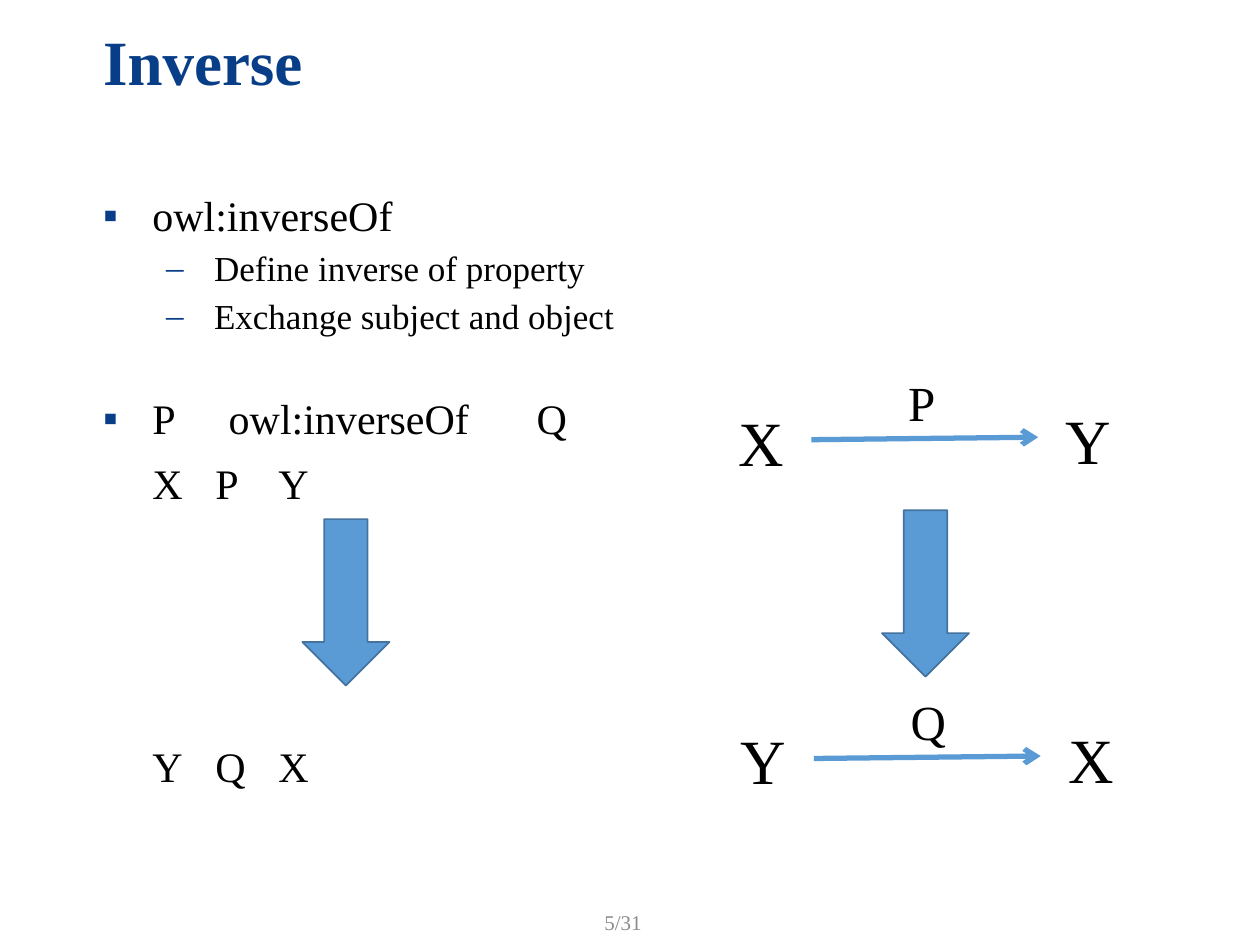
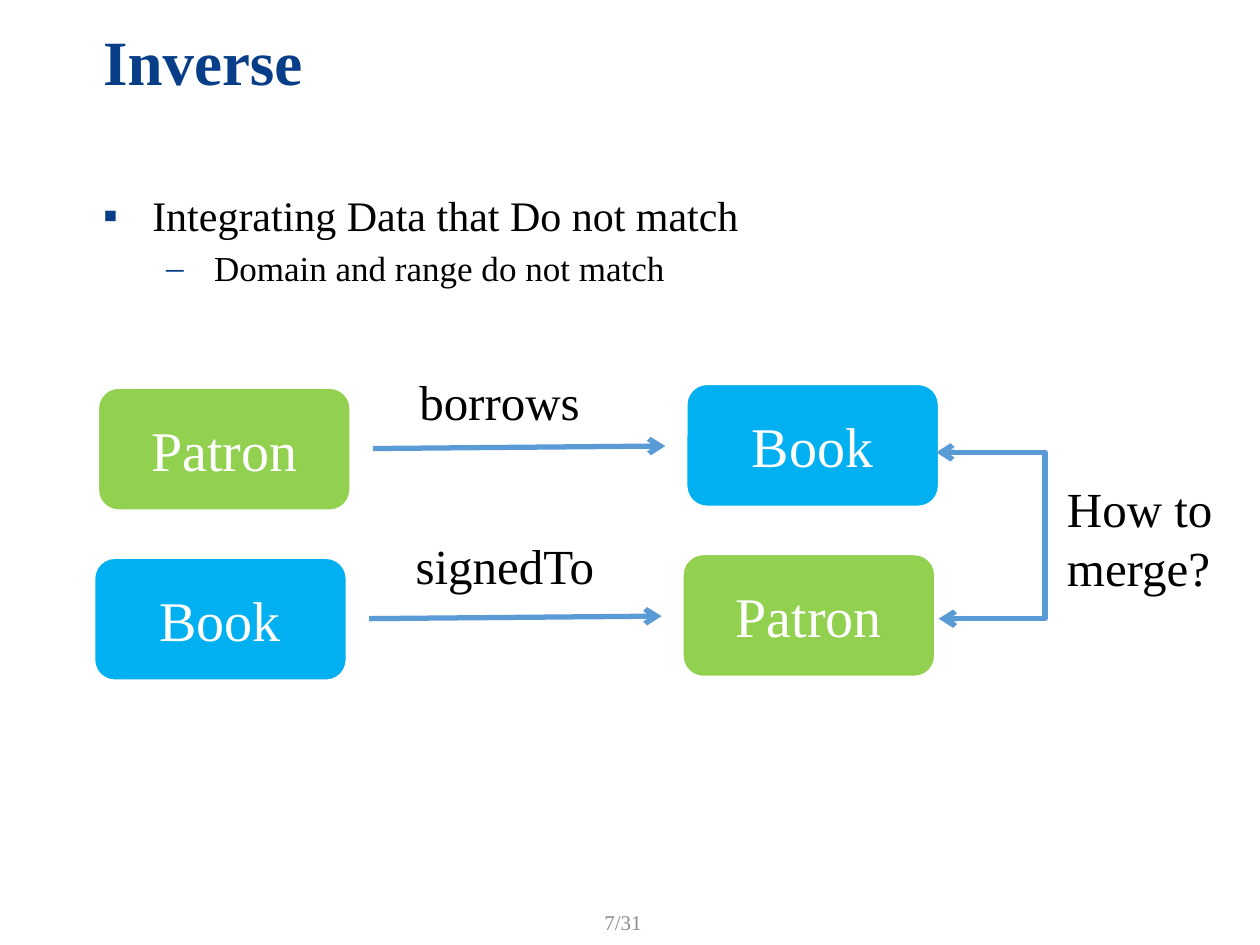
from pptx import Presentation
from pptx.dml.color import RGBColor
from pptx.enum.shapes import MSO_CONNECTOR, MSO_SHAPE
from pptx.enum.text import MSO_ANCHOR, PP_ALIGN
from pptx.oxml.ns import qn
from pptx.util import Inches, Pt
from lxml import etree

STRAIGHT, ELBOW = MSO_CONNECTOR.STRAIGHT, MSO_CONNECTOR.ELBOW
DOWN_ARROW, ROUND_RECT = MSO_SHAPE.DOWN_ARROW, MSO_SHAPE.ROUNDED_RECTANGLE
TOP, MIDDLE = MSO_ANCHOR.TOP, MSO_ANCHOR.MIDDLE
LEFT, CENTER = PP_ALIGN.LEFT, PP_ALIGN.CENTER

FONT = "Times New Roman"
NAVY, BLACK, WHITE, GRAY = "083E88", "000000", "FFFFFF", "8C8C8C"
BLUE, DARK_BLUE, SKY, GREEN = "5B9BD5", "43739E", "00B0F0", "92D050"

SLIDE_W, SLIDE_H = Inches(10), Inches(7.5)
COLUMNS, ROWS = 100, 75
LAST_PAGE = 31

# Bulleted levels: margin and hanging indent in inches, sizes in points
LEVELS = [
    {"bullet": "▪", "margin": 0.39, "hang": 0.39, "size": 24, "before": 11},
    {"bullet": "‒", "margin": 0.88, "hang": 0.38, "size": 20, "before": 6},
]
TRIPLE_TABS = [(0.39, "l"), (1.95, "ctr"), (3.56, "ctr")]


def rgb(color):
    return RGBColor.from_string(color)


def apply(target, values):
    for name, value in values.items():
        setattr(target, name, value)


def cells(*lengths):
    """Turn alternating columns and rows into slide lengths."""
    units = (SLIDE_W / COLUMNS, SLIDE_H / ROWS)
    return [round(length * units[i % 2]) for i, length in enumerate(lengths)]


def style_font(font, size, color, bold=False):
    apply(font, {"name": FONT, "size": Pt(size), "bold": bold})
    font.color.rgb = rgb(color)


def write(frame, text, size, color=BLACK, align=LEFT, anchor=TOP, bold=False):
    apply(frame, {"word_wrap": True, "vertical_anchor": anchor})
    paragraph = frame.paragraphs[0]
    apply(paragraph, {"text": text, "alignment": align})
    style_font(paragraph.font, size, color, bold)
    return paragraph


def add_label(slide, box, text, size, **look):
    frame = slide.shapes.add_textbox(*cells(*box)).text_frame
    return write(frame, text, size, **look)


def add_block(slide, preset, box, fill, outline):
    block = slide.shapes.add_shape(preset, *cells(*box))
    block.shadow.inherit = False
    block.fill.solid()
    block.fill.fore_color.rgb = rgb(fill)
    block.line.color.rgb = rgb(outline)
    block.line.width = Pt(1)
    return block


def add_arrow(slide, ends, kind=STRAIGHT, heads=("tailEnd",)):
    arrow = slide.shapes.add_connector(kind, *cells(*ends))
    arrow.line.color.rgb = rgb(BLUE)
    arrow.line.width = Pt(3)
    properties = arrow._element.spPr
    for head in heads:
        etree.SubElement(properties.find(qn("a:ln")), qn(f"a:{head}"), type="arrow")
    etree.SubElement(properties, qn("a:effectLst"))
    return arrow


def format_item(paragraph, level, bulleted, tabs):
    """Set indents, bullet and tab stops of one body paragraph."""
    properties = paragraph._p.get_or_add_pPr()
    properties.set("marL", str(Inches(level["margin"])))
    properties.set("indent", str(-Inches(level["hang"])))
    if bulleted:
        color = etree.SubElement(properties, qn("a:buClr"))
        etree.SubElement(color, qn("a:srgbClr"), val=NAVY)
        etree.SubElement(properties, qn("a:buFont"), typeface=FONT)
        etree.SubElement(properties, qn("a:buChar"), char=level["bullet"])
    else:
        etree.SubElement(properties, qn("a:buNone"))
    if tabs:
        stops = etree.SubElement(properties, qn("a:tabLst"))
        for position, align in tabs:
            etree.SubElement(stops, qn("a:tab"), pos=str(Inches(position)), algn=align)


def add_body(slide, items):
    """Write items of text, level and optional bulleted, before and tabs."""
    frame = slide.shapes.add_textbox(*cells(7.2, 15, 90.8, 49)).text_frame
    frame.word_wrap = True
    for number, item in enumerate(items):
        level = LEVELS[item["level"]]
        paragraph = frame.add_paragraph() if number else frame.paragraphs[0]
        format_item(paragraph, level, item.get("bulleted", True), item.get("tabs"))
        before = item.get("before", level["before"]) if number else 0
        apply(paragraph, {"text": item["text"], "line_spacing": 0.9,
                          "space_before": Pt(before)})
        style_font(paragraph.font, level["size"], BLACK)


def add_page(deck, title, page):
    slide = deck.slides.add_slide(deck.slide_layouts[6])
    heading = add_label(slide, (7.2, 1, 84.7, 8.3), title, 36,
                        color=NAVY, anchor=MIDDLE, bold=True)
    heading.line_spacing = 0.9
    add_label(slide, (38.2, 71.8, 22.5, 2.7), f"{page}/{LAST_PAGE}", 12,
              color=GRAY, align=CENTER, anchor=MIDDLE)
    return slide


def add_relation(slide, left, top, subject, predicate, target):
    add_arrow(slide, (left + 6.8, top + 5.8, left + 24.8, top + 5.6))
    add_label(slide, (left, top + 2.4, 6, 7.1), subject, 36)
    add_label(slide, (left + 26, top + 2.3, 6, 7.1), target, 36)
    add_label(slide, (left + 13.5, top, 6, 5.7), predicate, 28)


def add_class_pair(slide, left, top, classes, predicate, label_rise):
    """Draw two class boxes joined by a named property arrow."""
    add_arrow(slide, (left + 21.8, top + 4.8, left + 45, top + 4.6))
    add_label(slide, (left + 24.5, top - label_rise, 19, 5.7), predicate, 28)
    offsets = ((0, 0), (46.7, -0.3))
    for (name, fill), (right, down) in zip(classes, offsets):
        block = add_block(slide, ROUND_RECT, (left + right, top + down, 20, 9.7),
                          fill, WHITE)
        write(block.text_frame, name, 32, WHITE, CENTER, MIDDLE)


def add_merge_question(slide, left, top):
    bracket = add_arrow(slide, (left, top, left + 0.2, top + 13.2), ELBOW,
                        ("headEnd", "tailEnd"))
    bend = bracket._element.spPr.prstGeom.get_or_add_avLst()
    etree.SubElement(bend, qn("a:gd"), name="adj1", fmla="val 4300000")
    add_label(slide, (left + 9.4, top + 1.6, 16.3, 10.4), "How to merge?", 28)


def build_inverse_rule(deck):
    slide = add_page(deck, "Inverse", 5)
    triple = {"level": 0, "tabs": TRIPLE_TABS, "bulleted": False}
    add_body(slide, [
        {"text": "owl:inverseOf", "level": 0},
        {"text": "Define inverse of property", "level": 1},
        {"text": "Exchange subject and object", "level": 1},
        {"text": "P\towl:inverseOf\tQ", "level": 0, "before": 35,
         "tabs": TRIPLE_TABS[1:]},
        {**triple, "text": "\tX\tP\tY"},
        {**triple, "text": "\tY\tQ\tX", "before": 136},
    ])
    add_relation(slide, 57.6, 29.1, "X", "P", "Y")
    add_relation(slide, 57.8, 54.4, "Y", "Q", "X")
    for left, top in ((24, 41.2), (70, 40.5)):
        add_block(slide, DOWN_ARROW, (left, top, 6.9, 13.2), BLUE, DARK_BLUE)


def build_inverse_merge(deck):
    slide = add_page(deck, "Inverse", 7)
    add_body(slide, [
        {"text": "Integrating Data that Do not match", "level": 0},
        {"text": "Domain and range do not match", "level": 1},
    ])
    patron, book = ("Patron", GREEN), ("Book", SKY)
    add_class_pair(slide, 7.8, 30.8, (patron, book), "borrows", 1.8)
    add_class_pair(slide, 7.5, 44.3, (book, patron), "signedTo", 2.3)
    add_merge_question(slide, 74.3, 35.9)


def main():
    deck = Presentation()
    apply(deck, {"slide_width": SLIDE_W, "slide_height": SLIDE_H})
    build_inverse_rule(deck)
    build_inverse_merge(deck)
    deck.save("out.pptx")


if __name__ == "__main__":
    main()
